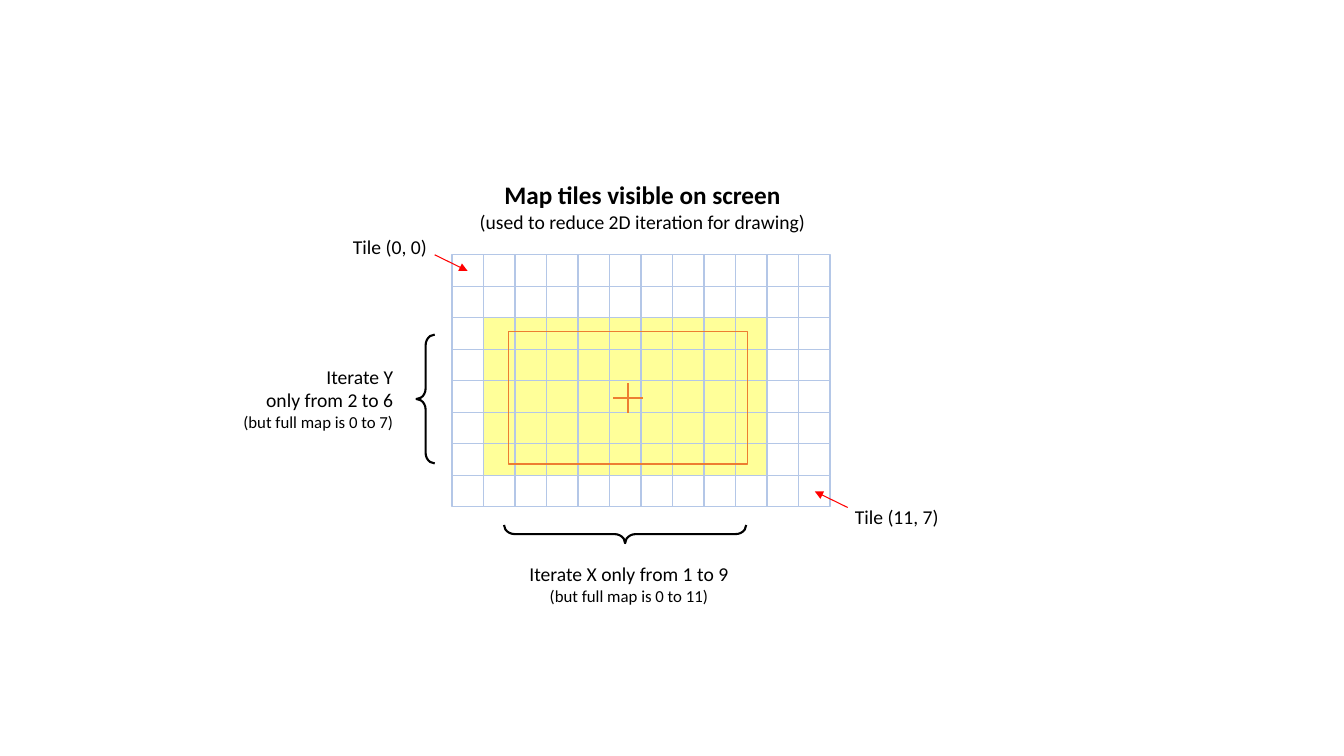
import pptx
import pptx.dml.color
import pptx.enum.shapes
import pptx.enum.text
import pptx.oxml
import pptx.oxml.ns
import pptx.util

Pt = pptx.util.Pt
PRESET = pptx.enum.shapes.MSO_SHAPE
ALIGN = pptx.enum.text.PP_ALIGN

# Map grid, in tiles and points
COLUMNS, ROWS, TILE = 12, 8, 22.5
MAP_LEFT, MAP_TOP = 323, 182
VISIBLE_X, VISIBLE_Y = range(1, 10), range(2, 7)

# Colours
BLACK, WHITE, RED = "000000", "FFFFFF", "FF0000"
GRID, VISIBLE, SCREEN = "B4C7E7", "FFFF99", "ED7D31"

# Text formats
HEADING = {"size": Pt(18), "bold": True}
LABEL = {"size": Pt(14), "bold": False}
NOTE = {"size": Pt(12), "bold": False}


def paint(color_format, color):
    color_format.rgb = pptx.dml.color.RGBColor.from_string(color)


def set_line(line, color, width):
    line.fill.solid()
    paint(line.fill.fore_color, color)
    line.width = Pt(width)


def add_preset(shapes, preset, frame, line_color, line_width, fill=None):
    shape = shapes.add_shape(preset, *map(Pt, frame))
    shape.shadow.inherit = False
    set_line(shape.line, line_color, line_width)
    if fill:
        shape.fill.solid()
        paint(shape.fill.fore_color, fill)
    else:
        shape.fill.background()
    return shape


def add_line(shapes, start, end, color, width, arrow=False):
    line = shapes.add_connector(
        pptx.enum.shapes.MSO_CONNECTOR.STRAIGHT, *map(Pt, start + end))
    set_line(line.line, color, width)
    properties = line._element.spPr
    if arrow:
        head = pptx.oxml.parse_xml(
            f'<a:tailEnd {pptx.oxml.ns.nsdecls("a")} type="triangle"/>')
        properties.find(pptx.oxml.ns.qn("a:ln")).append(head)
    properties.append(pptx.oxml.parse_xml(
        f'<a:effectLst {pptx.oxml.ns.nsdecls("a")}/>'))


def add_brace(shapes, frame, rotation):
    brace = add_preset(shapes, PRESET.RIGHT_BRACE, frame, BLACK, 1.5)
    brace.rotation = rotation
    brace.adjustments[0] = 0.585
    brace.adjustments[1] = 0.5


def add_text(shapes, frame, paragraphs, align=ALIGN.LEFT, wrap=True):
    """Each paragraph is a list of lines, each line a (text, format) pair."""
    box = shapes.add_textbox(*map(Pt, frame))
    text_frame = box.text_frame
    text_frame.word_wrap = wrap
    text_frame.auto_size = pptx.enum.text.MSO_AUTO_SIZE.SHAPE_TO_FIT_TEXT
    for index, lines in enumerate(paragraphs):
        para = text_frame.add_paragraph() if index else text_frame.paragraphs[0]
        para.alignment = align
        for number, (text, text_format) in enumerate(lines):
            if number:
                para.add_line_break()
            span = para.add_run()
            span.text = text
            span.font.name = "Calibri"
            paint(span.font.color, BLACK)
            for name, value in text_format.items():
                setattr(span.font, name, value)


def add_map(shapes):
    for row in range(ROWS):
        for column in range(COLUMNS):
            seen = column in VISIBLE_X and row in VISIBLE_Y
            frame = (MAP_LEFT + column * TILE, MAP_TOP + row * TILE, TILE, TILE)
            add_preset(shapes, PRESET.RECTANGLE, frame, GRID, 1,
                       VISIBLE if seen else WHITE)


def add_screen(shapes, frame, arm):
    left, top, width, height = frame
    x, y = left + width / 2, top + height / 2
    screen = shapes.add_group_shape().shapes
    add_preset(screen, PRESET.RECTANGLE, frame, SCREEN, 1)
    add_line(screen, (x, y - arm), (x, y + arm), SCREEN, 1)
    add_line(screen, (x - arm, y), (x + arm, y), SCREEN, 1)


def main():
    deck = pptx.Presentation()
    deck.slide_width, deck.slide_height = Pt(960), Pt(540)
    shapes = deck.slides.add_slide(deck.slide_layouts[6]).shapes

    # Title
    add_text(shapes, (334.5, 124.5, 249, 46),
             [[("Map tiles visible on screen", HEADING),
               ("(used to reduce 2D iteration for drawing)", LABEL)]],
             ALIGN.CENTER, wrap=False)

    # Map with the screen outline and its centre
    add_map(shapes)
    add_screen(shapes, (363, 237, 171, 94.5), 10.5)

    # Horizontal range
    add_brace(shapes, (440, 295, 13, 173), 90)
    add_text(shapes, (361.5, 398, 175.5, 39),
             [[("Iterate X only from 1 to 9", LABEL),
               ("(but full map is 0 to 11)", NOTE)]], ALIGN.CENTER)

    # Vertical range
    add_brace(shapes, (297.5, 239, 13, 92), 180)
    add_text(shapes, (112.5, 257, 175.5, 55.5),
             [[("Iterate Y", LABEL)],
              [("only from 2 to 6", LABEL),
               ("(but full map is 0 to 7)", NOTE)]], ALIGN.RIGHT)

    # Corner tiles
    corners = [
        ("Tile (0, 0)", (245, 164, 67.5, 24.5), (310.5, 182), (334, 193.5)),
        ("Tile (11, 7)", (603.5, 357, 75, 24.5), (605.5, 362.5), (582, 351)),
    ]
    for text, frame, start, end in corners:
        add_text(shapes, frame, [[(text, LABEL)]], wrap=False)
        add_line(shapes, start, end, RED, 0.75, arrow=True)

    deck.save("out.pptx")


main()
